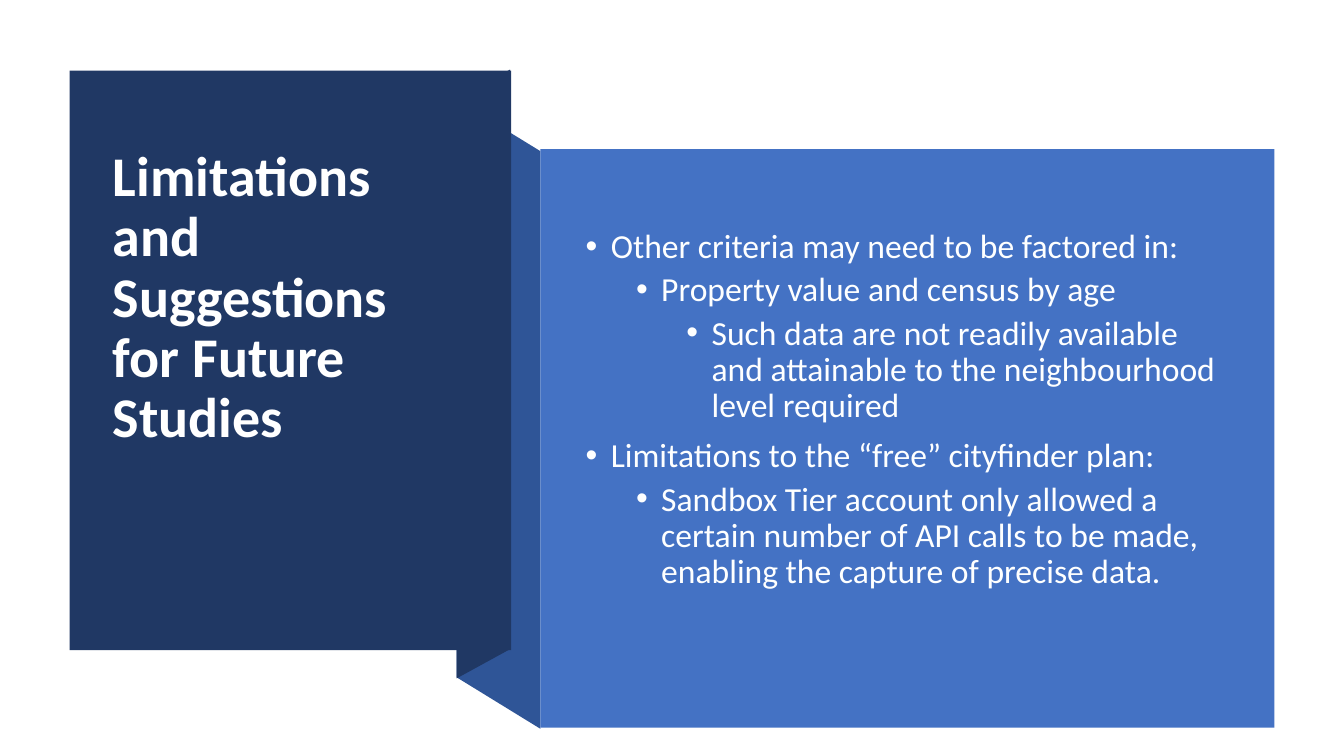
from pptx import Presentation
from pptx.dml.color import RGBColor
from pptx.enum.shapes import MSO_SHAPE
from pptx.enum.text import MSO_ANCHOR, MSO_AUTO_SIZE, PP_ALIGN
from pptx.oxml.xmlchemy import OxmlElement
from pptx.util import Inches, Pt

NAVY, FOLD_BLUE, PANEL_BLUE = "203864", "2F5597", "4472C4"
TITLE = "Limitations and Suggestions for Future Studies"
BULLETS = [
    (0, "Other criteria may need to be factored in:"),
    (1, "Property value and census by age"),
    (2, "Such data are not readily available and attainable to the "
        "neighbourhood level required"),
    (0, "Limitations to the “free” cityfinder plan:"),
    (1, "Sandbox Tier account only allowed a certain number of API calls "
        "to be made, enabling the capture of precise data."),
]


def color(value):
    return RGBColor.from_string(value)


def paint(shape, fill):
    shape.shadow.inherit = False
    shape.fill.solid()
    shape.fill.fore_color.rgb = color(fill)
    shape.line.fill.background()


def add_panel(s, x, y, w, h, fill):
    panel = s.shapes.add_shape(MSO_SHAPE.RECTANGLE, Inches(x), Inches(y),
                               Inches(w), Inches(h))
    paint(panel, fill)


def add_fold(s, points, fill):
    corners = [(Inches(x), Inches(y)) for x, y in points]
    builder = s.shapes.build_freeform(*corners[0])
    builder.add_line_segments(corners[1:], close=True)
    paint(builder.convert_to_shape(), fill)


def set_frame(tf, bottom):
    """Centre the text vertically above a bottom margin."""
    tf.word_wrap = True
    tf.auto_size = MSO_AUTO_SIZE.NONE
    tf.vertical_anchor = MSO_ANCHOR.MIDDLE
    tf.margin_left = tf.margin_right = Inches(0.1)
    tf.margin_top = Inches(0.05)
    tf.margin_bottom = Inches(bottom)


def add_text(p, text, size, fill, bold=False):
    p.alignment = PP_ALIGN.LEFT
    p.line_spacing = 0.9
    r = p.add_run()
    r.text = text
    r.font.name = "Calibri"
    r.font.size = Pt(size)
    r.font.bold = bold
    r.font.color.rgb = color(fill)


def set_bullet(p, level):
    p.level = level
    pPr = p._p.get_or_add_pPr()
    pPr.set("marL", str(Inches(0.25 + 0.5 * level)))
    pPr.set("indent", str(Inches(-0.25)))
    for tag, key, value in (("a:buFont", "typeface", "Arial"),
                            ("a:buChar", "char", "•")):
        bullet = OxmlElement(tag)
        bullet.set(key, value)
        pPr.append(bullet)


def add_title(s):
    title = s.shapes.title
    title.left, title.top = Inches(1.02), Inches(1.07)
    title.width, title.height = Inches(3.71), Inches(4.99)
    # Bring the title in front of the panels
    title.element.getparent().append(title.element)
    set_frame(title.text_frame, 1.25)
    add_text(title.text_frame.paragraphs[0], TITLE, 40, "FFFFFF", bold=True)


def add_bullets(s):
    box = s.shapes.add_textbox(Inches(5.71), Inches(1.88),
                               Inches(6.51), Inches(4.74))
    tf = box.text_frame
    set_frame(tf, 0.41)
    for i, (level, text) in enumerate(BULLETS):
        p = tf.add_paragraph() if i else tf.paragraphs[0]
        set_bullet(p, level)
        if i:
            p.space_before = Pt(5 if level else 10)
        add_text(p, text, 24, "FEFFFF")


def main():
    prs = Presentation()
    prs.slide_width, prs.slide_height = Inches(13.33), Inches(7.5)
    s = prs.slides.add_slide(prs.slide_layouts[5])
    add_fold(s, [(5.36, 7.23), (4.53, 6.72), (4.53, 0.99), (5.36, 1.5)],
             FOLD_BLUE)
    add_fold(s, [(5.06, 6.44), (4.53, 6.73), (4.53, 0.98), (5.06, 0.69)],
             NAVY)
    add_panel(s, 0.69, 0.7, 4.38, 5.75, NAVY)
    add_title(s)
    add_panel(s, 5.36, 1.48, 7.28, 5.74, PANEL_BLUE)
    add_bullets(s)
    prs.save("out.pptx")


if __name__ == "__main__":
    main()
